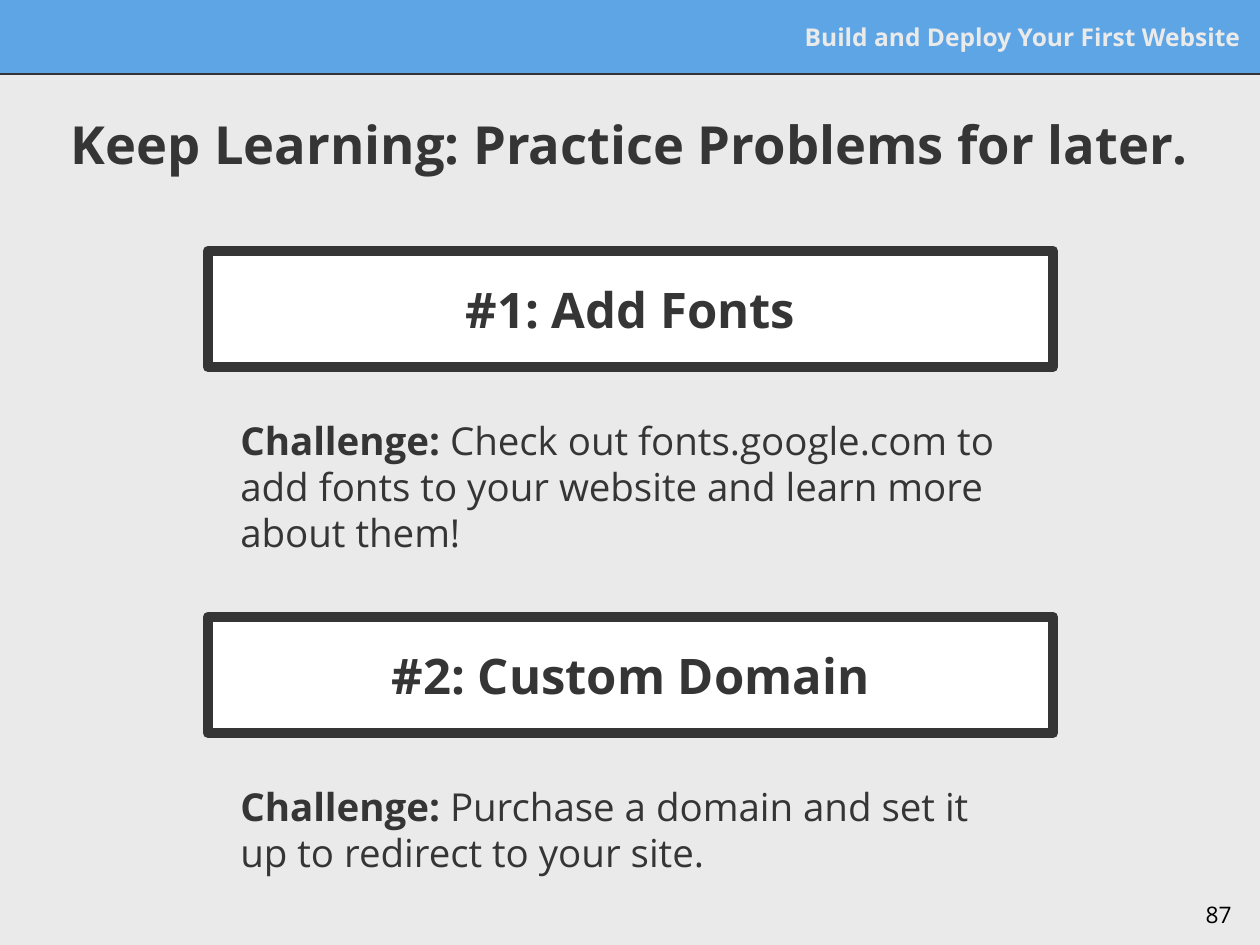
"""Build the practice problems slide with two titled challenges."""
from typing import NamedTuple

import pptx
import pptx.dml.color
import pptx.enum.shapes
import pptx.enum.text
import pptx.util
from lxml import etree

EMU_PER_PX = 914400 / 126
WIDTH, HEIGHT = 1260, 945
BAR_HEIGHT = 74
CHALLENGE_STEP = 366
COLORS = {"paper": "EAEAEA", "sky": "5EA5E5", "ink": "353535", "white": "FFFFFF", "black": "000000"}
ALIGN = pptx.enum.text.PP_ALIGN
ANCHOR = pptx.enum.text.MSO_ANCHOR
SHAPES = pptx.enum.shapes.MSO_SHAPE
NAMESPACE = "{http://schemas.openxmlformats.org/drawingml/2006/main}"


class Box(NamedTuple):
    left: int
    top: int
    width: int
    height: int


class Run(NamedTuple):
    text: str
    size: int
    color: str = "ink"
    bold: bool = True


class Challenge(NamedTuple):
    heading: str
    task: str


CHALLENGES = [
    Challenge("#1: Add Fonts",
              "Check out fonts.google.com to add fonts to your website and learn more about them!"),
    Challenge("#2: Custom Domain",
              "Purchase a domain and set it up to redirect to your site."),
]


def px(length: int) -> pptx.util.Emu:
    """Turn pixels into EMU."""
    return pptx.util.Emu(round(length * EMU_PER_PX))


def rgb(name: str) -> pptx.dml.color.RGBColor:
    """Look up a named colour."""
    return pptx.dml.color.RGBColor.from_string(COLORS[name])


def set_attributes(target, values: dict) -> None:
    """Set every attribute listed in a dict of format values."""
    for name, value in values.items():
        setattr(target, name, value)


def write_text(shape, runs: list[Run], alignment=ALIGN.LEFT, anchor=ANCHOR.TOP) -> None:
    """Fill a shape with one paragraph of formatted runs."""
    frame = shape.text_frame
    margins = {f"margin_{side}": pptx.util.Inches(0.1) for side in ("left", "top", "right", "bottom")}
    set_attributes(frame, {"word_wrap": True, "vertical_anchor": anchor, **margins})
    paragraph = frame.paragraphs[0]
    paragraph.alignment = alignment
    for item in runs:
        run = paragraph.add_run()
        run.text = item.text
        set_attributes(run.font, {"name": "Open Sans", "size": pptx.util.Pt(item.size), "bold": item.bold})
        run.font.color.rgb = rgb(item.color)


def add_text(slide, box: Box, runs: list[Run], alignment=ALIGN.LEFT, anchor=ANCHOR.TOP) -> None:
    """Add a text box."""
    shape = slide.shapes.add_textbox(*map(px, box))
    write_text(shape, runs, alignment, anchor)


def add_rectangle(slide, box: Box, fill: str, line: str, line_width: float):
    """Add a filled rectangle with a rounded outline."""
    shape = slide.shapes.add_shape(SHAPES.RECTANGLE, *map(px, box))
    shape.shadow.inherit = False
    shape.fill.solid()
    shape.fill.fore_color.rgb = rgb(fill)
    shape.line.color.rgb = rgb(line)
    shape.line.width = pptx.util.Pt(line_width)
    etree.SubElement(shape.line._get_or_add_ln(), NAMESPACE + "round")
    return shape


def add_rule(slide, top: int) -> None:
    """Add a full-width horizontal line."""
    straight = pptx.enum.shapes.MSO_CONNECTOR.STRAIGHT
    rule = slide.shapes.add_connector(straight, px(0), px(top), px(WIDTH), px(top))
    rule.line.color.rgb = rgb("ink")
    rule.line.width = pptx.util.Pt(1.5)
    etree.SubElement(rule._element.spPr, NAMESPACE + "effectLst")


def add_challenge(slide, challenge: Challenge, offset: int) -> None:
    """Add a framed heading with its task below."""
    add_text(slide, Box(228, 404 + offset, 780, 192),
             [Run("Challenge: ", 22), Run(challenge.task, 22, bold=False)])
    frame = add_rectangle(slide, Box(208, 251 + offset, 845, 116), "white", "ink", 6)
    write_text(frame, [Run(challenge.heading, 28)], ALIGN.CENTER, ANCHOR.MIDDLE)


def main() -> None:
    """Build and save the presentation."""
    presentation = pptx.Presentation()
    set_attributes(presentation, {"slide_width": px(WIDTH), "slide_height": px(HEIGHT)})
    slide = presentation.slides.add_slide(presentation.slide_layouts[6])
    slide.background.fill.solid()
    slide.background.fill.fore_color.rgb = rgb("paper")

    add_rectangle(slide, Box(0, 0, WIDTH, BAR_HEIGHT), "sky", "sky", 0.75)
    add_rule(slide, BAR_HEIGHT)
    add_text(slide, Box(786, 13, 467, 48),
             [Run("Build and Deploy Your First Website", 14, "paper")], ALIGN.RIGHT, ANCHOR.MIDDLE)
    add_text(slide, Box(22, 89, 1216, 110),
             [Run("Keep Learning: Practice Problems for later.", 30)], ALIGN.CENTER, ANCHOR.MIDDLE)
    for index, challenge in enumerate(CHALLENGES):
        add_challenge(slide, challenge, index * CHALLENGE_STEP)
    add_text(slide, Box(1168, 888, 76, 72), [Run("87", 13, "black", False)], ALIGN.RIGHT)
    presentation.save("out.pptx")


if __name__ == "__main__":
    main()
